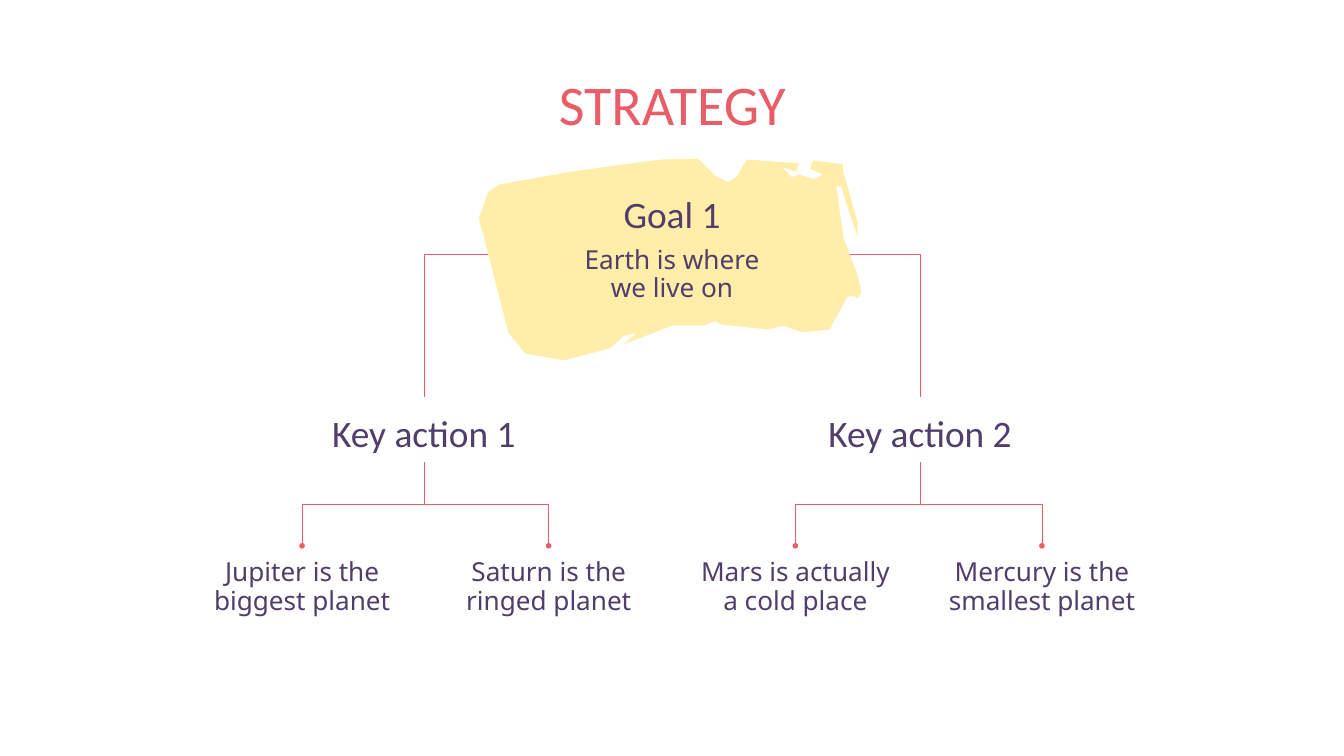
from lxml.etree import SubElement
from pptx import Presentation
from pptx.dml.color import RGBColor
from pptx.enum.shapes import MSO_CONNECTOR
from pptx.enum.text import MSO_ANCHOR, MSO_AUTO_SIZE, PP_ALIGN
from pptx.oxml.ns import qn
from pptx.util import Pt

CORAL, PLUM, CREAM = "E95D68", "513E6B", "FFEDAA"
HEADING_FONT, BODY_FONT = "Calibri", "Noto Sans"

TITLE = "STRATEGY"
GOAL = ("Goal 1", "Earth is where we live on")
ACTIONS = [
    ("Key action 1", ["Jupiter is the biggest planet", "Saturn is the ringed planet"]),
    ("Key action 2", ["Mars is actually a cold place", "Mercury is the smallest planet"]),
]

BRUSH_OUTLINE = [
    (889, 353), (893, 345), (908, 318), (914, 317), (919, 320), (923, 312), (918, 292),
    (904, 256), (896, 200), (901, 199), (909, 225), (919, 254), (919, 239), (903, 182),
    (903, 176), (871, 172), (868, 181), (882, 187), (872, 192), (856, 187), (848, 190),
    (838, 179), (853, 184), (856, 175), (800, 171), (789, 190), (780, 195), (767, 189),
    (748, 170), (708, 171), (692, 173), (612, 184), (534, 198), (523, 206), (517, 223),
    (513, 234), (520, 260), (545, 357), (563, 379), (605, 386), (654, 373), (668, 360),
    (682, 357), (668, 369), (720, 349), (754, 349), (766, 344), (774, 348), (822, 353),
    (839, 349), (860, 356),
]

SLIDE_W, SLIDE_H = 1440, 810
CENTER = SLIDE_W / 2
INSET = 14.4
ACTION_W, ACTION_H, ACTION_TOP, ACTION_OFFSET = 296, 69.8, 425.5, 265.8
LEAF_W, LEAF_H, LEAF_TOP, LEAF_PITCH = 242.6, 104.4, 584.8, 264.24
GOAL_TOP, GOAL_BODY_TOP, GOAL_MID, GOAL_REACH = 190.8, 249.8, 272.9, 189.4


def color(hex_code):
    return RGBColor.from_string(hex_code)


def write(box, text, size, font, hex_code, spacing=1.0):
    frame = box.text_frame
    frame.word_wrap = True
    frame.auto_size = MSO_AUTO_SIZE.NONE
    frame.vertical_anchor = MSO_ANCHOR.TOP
    frame.margin_left = frame.margin_right = Pt(INSET)
    frame.margin_top = frame.margin_bottom = Pt(INSET)
    paragraph = frame.paragraphs[0]
    paragraph.alignment = PP_ALIGN.CENTER
    paragraph.line_spacing = spacing
    run = paragraph.add_run()
    run.text = text
    run.font.size = Pt(size)
    run.font.name = font
    run.font.color.rgb = color(hex_code)


def add_text(slide, center, top, width, height, *style):
    box = slide.shapes.add_textbox(Pt(center - width / 2), Pt(top), Pt(width), Pt(height))
    write(box, *style)


def add_heading(slide, text, center, top, width):
    add_text(slide, center, top, width, ACTION_H, text, 40, HEADING_FONT, PLUM)


def add_body(slide, text, center, top):
    add_text(slide, center, top, LEAF_W, LEAF_H, text, 28, BODY_FONT, PLUM, 0.9)


def add_elbow(slide, x1, y1, x2, y2):
    elbow = slide.shapes.add_connector(MSO_CONNECTOR.ELBOW, Pt(x1), Pt(y1), Pt(x2), Pt(y2))
    elbow.line.color.rgb = color(CORAL)
    elbow.line.width = Pt(0.75)
    SubElement(elbow._element.spPr, qn("a:effectLst"))
    return elbow


def add_goal_branch(slide, x1, x2):
    elbow = add_elbow(slide, x1, GOAL_MID, x2, ACTION_TOP)
    elbow._element.spPr.find(qn("a:prstGeom")).set("prst", "bentConnector2")


def add_leaf_branch(slide, x1, x2):
    y1, y2 = ACTION_TOP + ACTION_H, LEAF_TOP
    elbow = add_elbow(slide, x1, y1, x2, y2)
    across, down = abs(x2 - x1), y2 - y1
    elbow.left, elbow.top = Pt((x1 + x2 - down) / 2), Pt((y1 + y2 - across) / 2)
    elbow.width, elbow.height = Pt(down), Pt(across)
    transform = elbow._element.spPr.find(qn("a:xfrm"))
    to_right = x2 > x1
    transform.set("rot", str((270 if to_right else 90) * 60000))
    transform.set("flipH", "1" if to_right else "0")
    SubElement(elbow.line._get_or_add_ln(), qn("a:tailEnd"), type="oval")


def add_brush(slide):
    builder = slide.shapes.build_freeform(*BRUSH_OUTLINE[0], scale=Pt(1))
    builder.add_line_segments(BRUSH_OUTLINE[1:], close=True)
    brush = builder.convert_to_shape()
    brush.shadow.inherit = False
    brush.fill.solid()
    brush.fill.fore_color.rgb = color(CREAM)
    brush.line.fill.background()


def main():
    deck = Presentation()
    deck.slide_width, deck.slide_height = Pt(SLIDE_W), Pt(SLIDE_H)
    slide = deck.slides.add_slide(deck.slide_layouts[5])
    title = slide.shapes.title
    title.left, title.top, title.width, title.height = Pt(113), Pt(60), Pt(1214.6), Pt(76.3)
    write(title, TITLE, 60, HEADING_FONT, CORAL)

    for index, (action, leaves) in enumerate(ACTIONS):
        side = 2 * index - 1
        action_x = CENTER + side * ACTION_OFFSET
        add_heading(slide, action, action_x, ACTION_TOP, ACTION_W)
        add_goal_branch(slide, CENTER + side * GOAL_REACH, action_x)
        for column, leaf in enumerate(leaves, start=2 * index):
            leaf_x = CENTER + (column - 1.5) * LEAF_PITCH
            add_body(slide, leaf, leaf_x, LEAF_TOP)
            add_leaf_branch(slide, action_x, leaf_x)

    add_brush(slide)
    add_heading(slide, GOAL[0], CENTER, GOAL_TOP, LEAF_W)
    add_body(slide, GOAL[1], CENTER, GOAL_BODY_TOP)
    deck.save("out.pptx")


if __name__ == "__main__":
    main()
